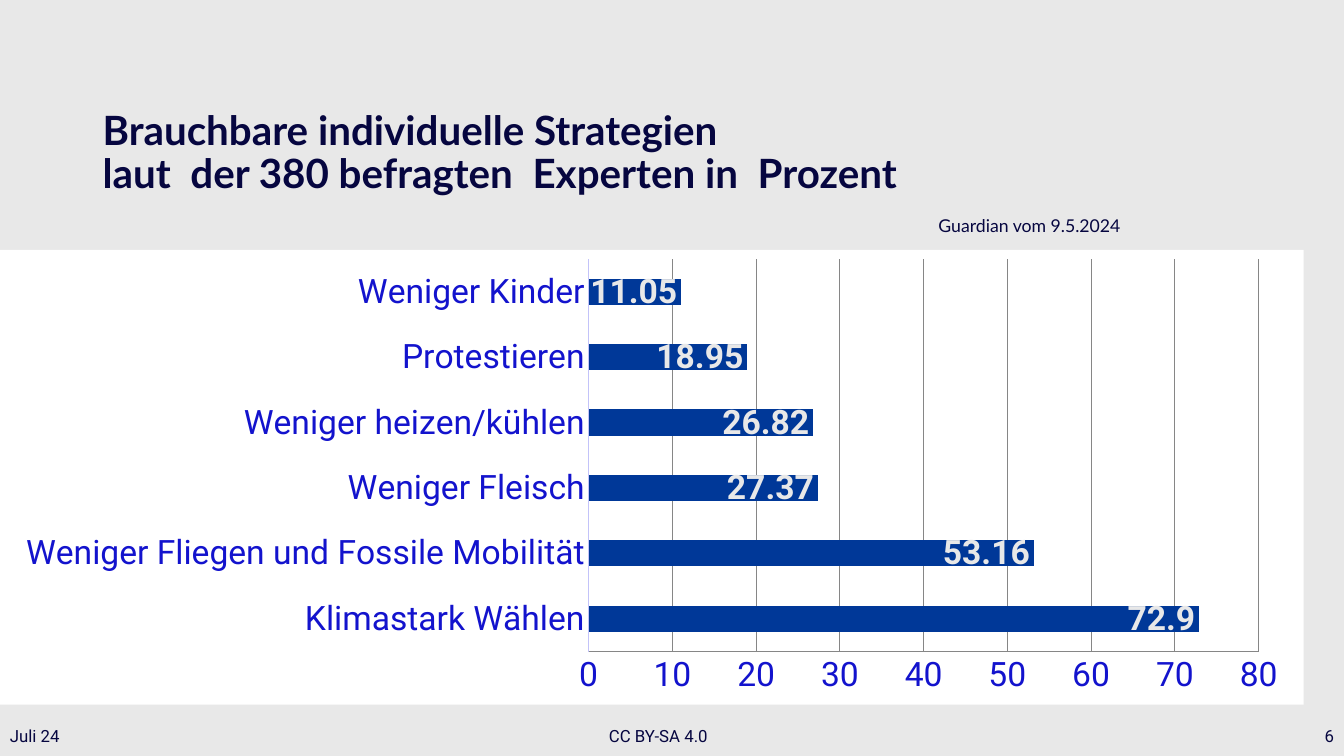
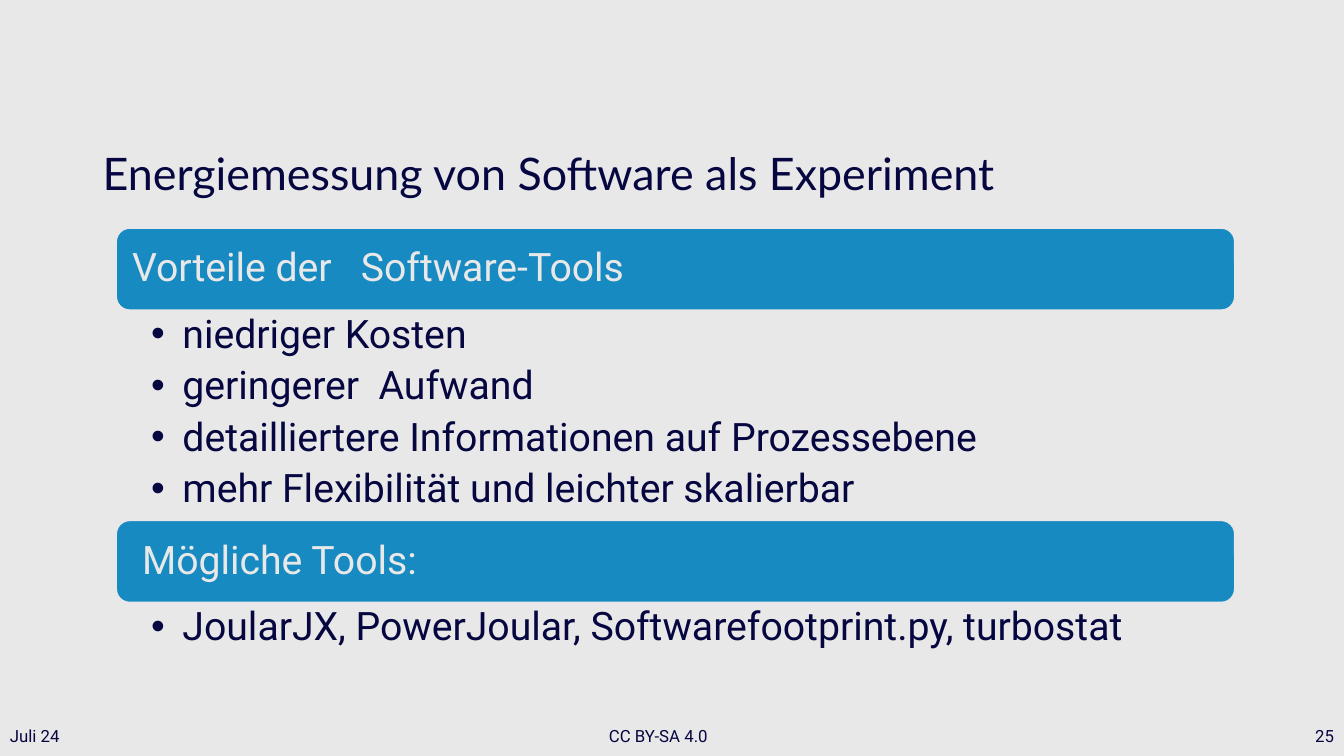
from lxml.etree import SubElement
from pptx import Presentation
from pptx.chart.data import CategoryChartData
from pptx.dml.color import RGBColor
from pptx.enum.chart import XL_CHART_TYPE, XL_LABEL_POSITION, XL_TICK_MARK
from pptx.enum.shapes import MSO_SHAPE
from pptx.enum.text import MSO_ANCHOR, PP_ALIGN
from pptx.oxml import parse_xml
from pptx.oxml.ns import nsdecls, qn
from pptx.util import Inches, Pt

NAVY, PALE, SKY, WHITE = "060640", "E8E8E8", "178AC1", "FFFFFF"
BAR, LABEL, AXIS, GRID = "003898", "1313CD", "C3C3F9", "868686"
HEAD, BODY = "Lato", "Roboto"
WIDE, HIGH = 13.33, 7.5


def paint(target, color):
    """Give a fill, line fill or font colour a solid hex colour."""
    if hasattr(target, "solid"):
        target.solid()
        target = target.fore_color
    target.rgb = RGBColor.from_string(color)


def style(font, size, color=NAVY, name=BODY, bold=False):
    """Set face, size, weight and colour of a font."""
    font.name, font.size, font.bold = name, Pt(size), bold
    paint(font.color, color)


def setup(frame, inset=(0.1, 0.05, 0.1, 0.05), anchor=MSO_ANCHOR.MIDDLE):
    """Wrap a text frame and set its insets and anchor."""
    frame.word_wrap = True
    frame.vertical_anchor = anchor
    left, top, right, base = map(Inches, inset)
    frame.margin_left, frame.margin_top = left, top
    frame.margin_right, frame.margin_bottom = right, base


def label(slide, box, text, size, name=BODY, bold=False,
          align=PP_ALIGN.LEFT, space=1.0):
    """Place one styled paragraph in a box."""
    frame = slide.shapes.add_textbox(*map(Inches, box)).text_frame
    setup(frame)
    frame.text = text
    para = frame.paragraphs[0]
    para.alignment, para.line_spacing = align, space
    for run in para.runs:
        style(run.font, size, NAVY, name, bold)


def title(slide, text, size, top=1.24, bold=False):
    """Place the slide title."""
    label(slide, (0.92, top, 11.5, 1.01), text, size, HEAD, bold, space=0.9)


def footer(slide, number):
    """Place date, licence and slide number along the lower edge."""
    parts = (
        (0, 3, "Juli 24", PP_ALIGN.LEFT),
        (4.28, 4.5, "CC BY-SA 4.0", PP_ALIGN.CENTER),
        (WIDE - 3, 3, str(number), PP_ALIGN.RIGHT),
    )
    for left, width, text, align in parts:
        label(slide, (left, HIGH - 0.4, width, 0.4), text, 12, align=align)


def bars(slide, box, rows):
    """Draw the survey results as a bar chart on white."""
    data = CategoryChartData()
    data.categories = [name for name, _ in rows]
    data.add_series("Series 1", [value for _, value in rows])
    chart = slide.shapes.add_chart(
        XL_CHART_TYPE.BAR_CLUSTERED, *map(Inches, box), data).chart
    chart.has_title = chart.has_legend = False
    style(chart.font, 24)
    back = parse_xml(
        f'<c:spPr {nsdecls("c", "a")}><a:solidFill><a:srgbClr val="{WHITE}"/>'
        '</a:solidFill><a:ln><a:noFill/></a:ln></c:spPr>')
    chart.element.find(qn("c:chart")).addnext(back)

    scale = chart.value_axis
    scale.minimum_scale, scale.maximum_scale, scale.major_unit = 0, 80, 10
    scale.has_major_gridlines = True
    grid = scale.major_gridlines.format.line
    for axis, color in ((chart.category_axis, AXIS), (scale, GRID)):
        axis.major_tick_mark = axis.minor_tick_mark = XL_TICK_MARK.NONE
        style(axis.tick_labels.font, 24, LABEL)
        paint(axis.format.line.fill, color)
        axis.format.line.width = Pt(0.75)
    paint(grid.fill, GRID)
    grid.width = Pt(0.75)

    plot = chart.plots[0]
    plot.gap_width, plot.vary_by_categories = 150, False
    paint(plot.series[0].format.fill, BAR)
    plot.has_data_labels = True
    marks = plot.data_labels
    marks.show_value = True
    marks.position = XL_LABEL_POSITION.INSIDE_END
    style(marks.font, 24, PALE, bold=True)


def band(slide, box, text, inset):
    """Draw a rounded heading band."""
    shape = slide.shapes.add_shape(
        MSO_SHAPE.ROUNDED_RECTANGLE, *map(Inches, box))
    shape.shadow.inherit = False
    paint(shape.fill, SKY)
    paint(shape.line.fill, PALE)
    shape.line.width = Pt(1.5)
    frame = shape.text_frame
    setup(frame, (inset, 0.12, 0.12, 0.12))
    frame.text = text
    para = frame.paragraphs[0]
    para.alignment, para.line_spacing = PP_ALIGN.LEFT, 0.9
    style(para.runs[0].font, 28, PALE)


def bullets(slide, box, items):
    """Place a bulleted list."""
    frame = slide.shapes.add_textbox(*map(Inches, box)).text_frame
    setup(frame, (0.35, 0.04, 0.22, 0.04), MSO_ANCHOR.TOP)
    frame.text = "\n".join(items)
    for para in frame.paragraphs:
        para.line_spacing, para.space_after = 0.9, Pt(6.5)
        props = para._p.get_or_add_pPr()
        props.set("marL", str(Inches(0.31)))
        props.set("indent", str(-Inches(0.31)))
        SubElement(props, qn("a:buFont")).set("typeface", "Arial")
        SubElement(props, qn("a:buChar")).set("char", "•")
        style(para.runs[0].font, 28)


def groups(slide, box, parts):
    """Stack heading bands, each followed by its list."""
    left, top, width = box
    for text, inset, height, items in parts:
        band(slide, (left, top, width, 0.82), text, inset)
        bullets(slide, (left, top + 0.82, width, height), items)
        top += 0.82 + height


def survey(slide):
    """Build the slide on the expert survey."""
    title(slide, "Brauchbare individuelle Strategien\v"
          "laut  der 380 befragten  Experten in  Prozent", 28.8, 1.02, True)
    label(slide, (9.21, 2.06, 3.2, 0.36), "Guardian vom 9.5.2024", 12.6, HEAD)
    footer(slide, 6)
    bars(slide, (0, 2.48, 12.93, 4.51), (
        ("Klimastark Wählen", 72.9),
        ("Weniger Fliegen und Fossile Mobilität", 53.16),
        ("Weniger Fleisch", 27.37),
        ("Weniger heizen/kühlen", 26.82),
        ("Protestieren", 18.95),
        ("Weniger Kinder", 11.05),
    ))


def tools(slide):
    """Build the slide on software tools."""
    title(slide, "Energiemessung von Software als Experiment", 32)
    footer(slide, 25)
    groups(slide, (1.15, 2.26, 11.1), (
        ("Vorteile der   Software-Tools", 0.12, 2.08, (
            "niedriger Kosten",
            "geringerer  Aufwand",
            "detailliertere Informationen auf Prozessebene",
            "mehr Flexibilität und leichter skalierbar",
        )),
        ("Mögliche Tools:", 0.22, 0.72, (
            "JoularJX, PowerJoular, Softwarefootprint.py, turbostat",
        )),
    ))


def main():
    """Build and save the deck."""
    deck = Presentation()
    deck.slide_width, deck.slide_height = Inches(WIDE), Inches(HIGH)
    paint(deck.slide_master.background.fill, PALE)
    for build in (survey, tools):
        build(deck.slides.add_slide(deck.slide_layouts[6]))
    deck.save("out.pptx")


if __name__ == "__main__":
    main()
